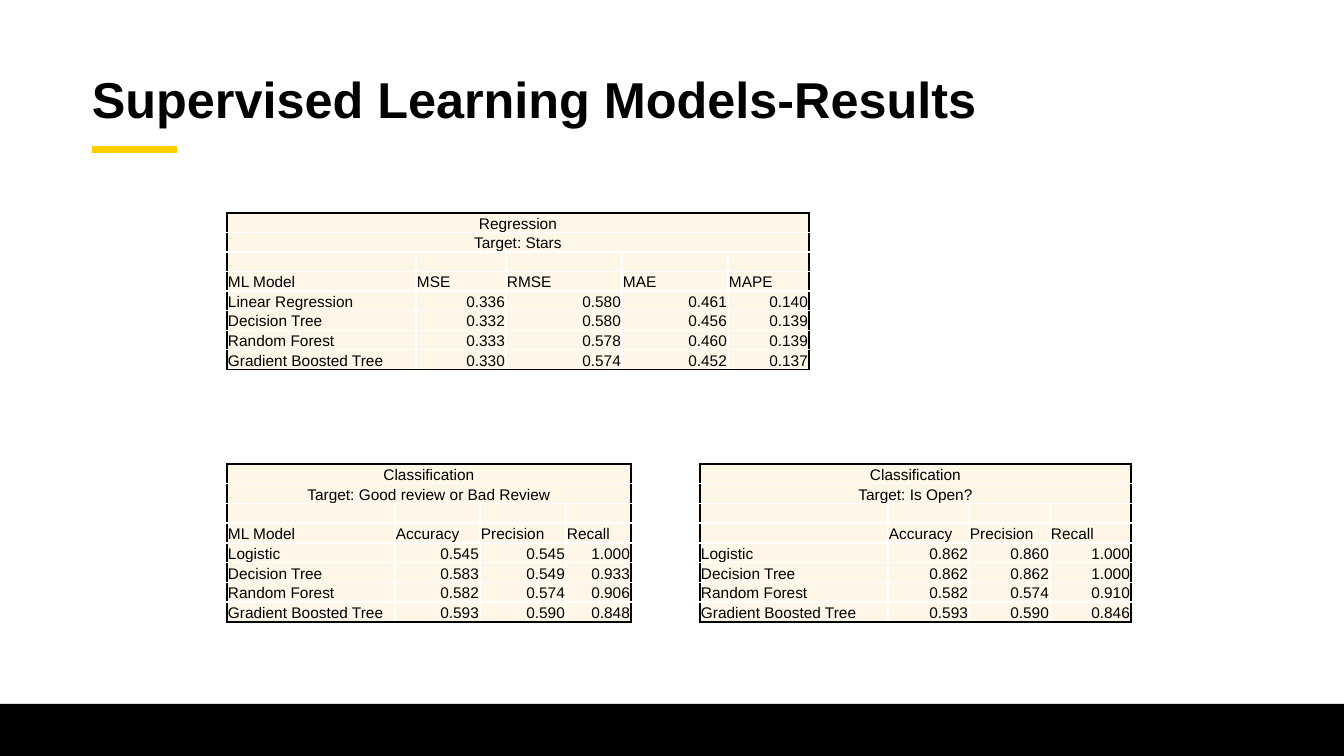
from lxml.etree import SubElement as Sub
from pptx import Presentation
from pptx.dml.color import RGBColor
from pptx.enum.shapes import MSO_CONNECTOR as Conn, MSO_SHAPE as Kind
from pptx.enum.text import MSO_ANCHOR as Anchor, PP_ALIGN as Align
from pptx.oxml.ns import qn
from pptx.util import Pt

BLACK = RGBColor(0, 0, 0)
WHITE = RGBColor(255, 255, 255)
GOLD = RGBColor(255, 205, 0)
CREAM = RGBColor(255, 246, 231)
PX = 914400 / 100.8


def px(n):
    return round(n * PX)


def write(par, text, size, bold=False):
    run = par.add_run()
    run.text = text
    font = run.font
    font.name = "Arial"
    font.size = Pt(size)
    font.bold = bold
    font.color.rgb = BLACK


deck = Presentation()
deck.slide_width, deck.slide_height = px(1344), px(756)
slide = deck.slides.add_slide(deck.slide_layouts[6])
shapes = slide.shapes

band = shapes.add_shape(Kind.RECTANGLE, 0, px(704), px(1344), px(52))
band.shadow.inherit = False
band.fill.solid()
band.fill.fore_color.rgb = BLACK
band.line.fill.background()

rule = shapes.add_connector(Conn.STRAIGHT, px(92), px(150), px(177), px(150))
rule.line.color.rgb = GOLD
rule.line.width = Pt(5)
Sub(rule._element.spPr, qn("a:effectLst"))

title = shapes.add_textbox(px(82), px(54), px(1159), px(96)).text_frame
title.word_wrap = True
title.vertical_anchor = Anchor.MIDDLE
title.paragraphs[0].line_spacing = 0.9
write(title.paragraphs[0], "Supervised Learning Models-Results", 36, True)

tables = [
    (227, 213, 153, [189, 90, 116, 106, 81], [
        ["Regression"],
        ["Target: Stars"],
        [],
        ["ML Model", "MSE", "RMSE", "MAE", "MAPE"],
        ["Linear Regression", "0.336", "0.580", "0.461", "0.140"],
        ["Decision Tree", "0.332", "0.580", "0.456", "0.139"],
        ["Random Forest", "0.333", "0.578", "0.460", "0.139"],
        ["Gradient Boosted Tree", "0.330", "0.574", "0.452", "0.137"]]),
    (227, 464, 156, [168, 85, 86, 65], [
        ["Classification"],
        ["Target: Good review or Bad Review"],
        [],
        ["ML Model", "Accuracy", "Precision", "Recall"],
        ["Logistic", "0.545", "0.545", "1.000"],
        ["Decision Tree", "0.583", "0.549", "0.933"],
        ["Random Forest", "0.582", "0.574", "0.906"],
        ["Gradient Boosted Tree", "0.593", "0.590", "0.848"]]),
    (700, 464, 156, [188, 81, 81, 81], [
        ["Classification"],
        ["Target: Is Open?"],
        [],
        ["", "Accuracy", "Precision", "Recall"],
        ["Logistic", "0.862", "0.860", "1.000"],
        ["Decision Tree", "0.862", "0.862", "1.000"],
        ["Random Forest", "0.582", "0.574", "0.910"],
        ["Gradient Boosted Tree", "0.593", "0.590", "0.846"]]),
]

for left, top, high, cols, rows in tables:
    count, last = len(rows), len(cols) - 1
    frame = shapes.add_table(count, len(cols), px(left), px(top), px(sum(cols)), px(high))
    table = frame.table
    table.first_row = table.horz_banding = False
    for c, wide in enumerate(cols):
        table.columns[c].width = px(wide)
    for r in range(2):
        table.cell(r, 0).merge(table.cell(r, last))
    for r, row in enumerate(rows):
        table.rows[r].height = px(high * (r + 1) // count - high * r // count)
        for c in range(len(cols)):
            cell = table.cell(r, c)
            cell.margin_left = cell.margin_right = cell.margin_top = px(1)
            cell.margin_bottom = 0
            cell.vertical_anchor = Anchor.BOTTOM
            par = cell.text_frame.paragraphs[0]
            text = row[c] if c < len(row) else ""
            if text:
                write(par, text, 11)
            Sub(par._p, qn("a:endParaRPr"), sz="1100")
            if r < 2:
                par.alignment = Align.CENTER
            elif r > 3 and c > 0:
                par.alignment = Align.RIGHT
            else:
                par.alignment = Align.LEFT
            if not cell.is_spanned:
                props = cell._tc.get_or_add_tcPr()
                edges = {"L": c == 0, "R": c == last or r < 2,
                         "T": r == 0, "B": r == count - 1}
                for side, outer in edges.items():
                    line = Sub(props, qn("a:ln" + side), w=str(Pt(1)))
                    fill = Sub(line, qn("a:solidFill"))
                    Sub(fill, qn("a:srgbClr"), val=str(BLACK if outer else WHITE))
            cell.fill.solid()
            cell.fill.fore_color.rgb = CREAM

deck.save("out.pptx")
